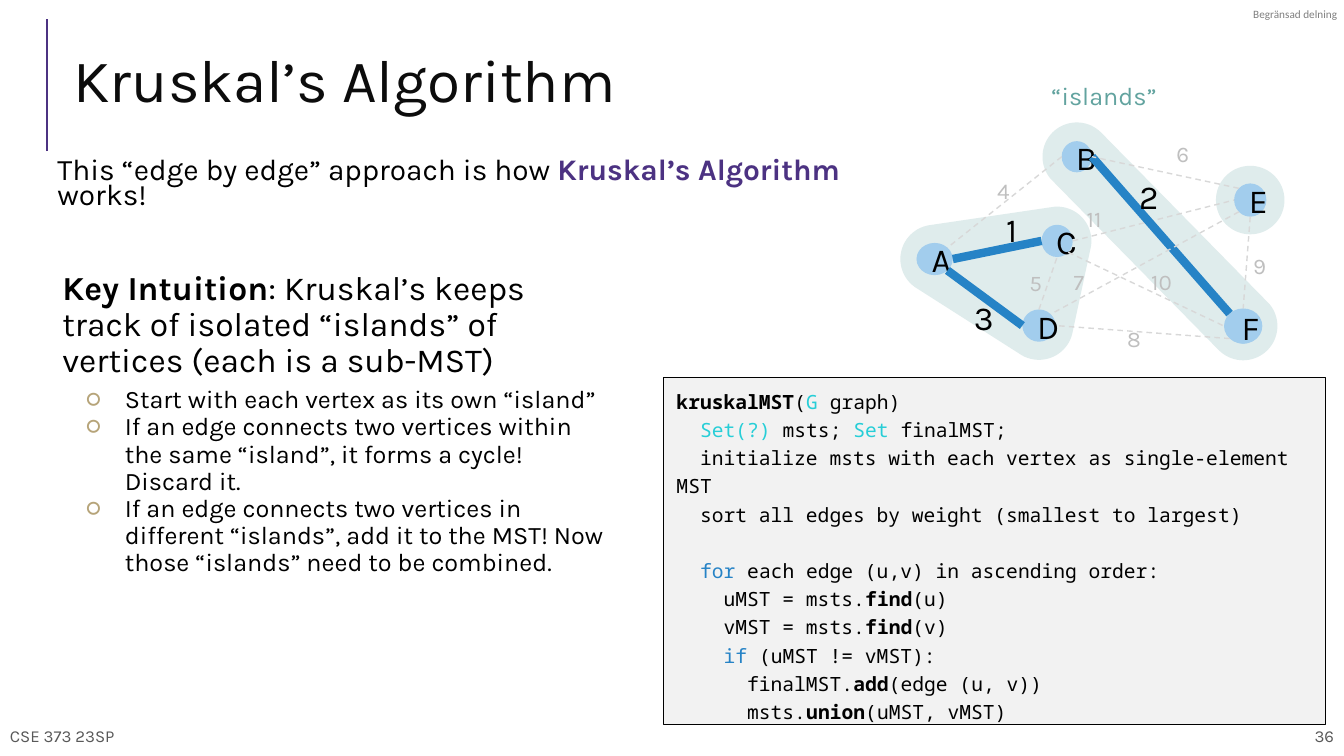
from math import cos, radians, sin

from lxml import etree
from pptx import Presentation
from pptx.dml.color import RGBColor
from pptx.enum.dml import MSO_LINE
from pptx.enum.shapes import MSO_CONNECTOR, MSO_SHAPE
from pptx.enum.text import MSO_ANCHOR, PP_ALIGN
from pptx.oxml.ns import qn
from pptx.util import Inches, Pt

STRAIGHT = MSO_CONNECTOR.STRAIGHT
DASH = MSO_LINE.DASH
OVAL = MSO_SHAPE.OVAL
RECTANGLE = MSO_SHAPE.RECTANGLE
TOP, MIDDLE = MSO_ANCHOR.TOP, MSO_ANCHOR.MIDDLE
LEFT, CENTER, RIGHT = PP_ALIGN.LEFT, PP_ALIGN.CENTER, PP_ALIGN.RIGHT

BLACK = RGBColor(0x00, 0x00, 0x00)
TITLE_BLACK = RGBColor(0x0C, 0x0C, 0x0C)
PURPLE = RGBColor(0x4C, 0x32, 0x82)
FOOTER_GRAY = RGBColor(0x59, 0x59, 0x59)
SHARING_GRAY = RGBColor(0x7F, 0x7F, 0x7F)
WEIGHT_GRAY = RGBColor(0xBF, 0xBF, 0xBF)
EDGE_GRAY = RGBColor(0xD8, 0xD8, 0xD8)
CODE_GRAY = RGBColor(0xF2, 0xF2, 0xF2)
BLUE = RGBColor(0x26, 0x83, 0xC6)
VERTEX_BLUE = RGBColor(0xA2, 0xCD, 0xED)
CYAN = RGBColor(0x27, 0xCE, 0xD7)
ISLAND_GREEN = RGBColor(0xDF, 0xEC, 0xEC)
TEAL = RGBColor(0x62, 0xA3, 0x9F)
BULLET_TAN = RGBColor(0xB6, 0xA4, 0x79)

SANS, MONO, SMALL_PRINT = "Karla", "Noto Sans Mono", "Calibri"

# Left, top, width and height of each vertex, in inches from the graph's corner.
VERTICES = {
    "A": (1.09, 2.41, 0.36, 0.32),
    "B": (2.53, 1.4, 0.3, 0.31),
    "C": (2.33, 2.23, 0.31, 0.32),
    "D": (2.14, 3.07, 0.33, 0.32),
    "E": (4.24, 1.82, 0.32, 0.33),
    "F": (4.14, 3.06, 0.38, 0.35),
}
FRONT_VERTEX = "F"  # its name sits on a smaller oval above the edges
FRONT_BOX = (4.17, 3.08, 0.32, 0.33)
ISLANDS = ["E", "BF", "ACD"]
ISLAND_RADIUS = 0.34
# Clockwise angle of the point where an edge touches its vertex.
COMPASS = {name: 45 * step for step, name in enumerate(["E", "SE", "S", "SW", "W", "NW", "N", "NE"])}
# Vertex and side at both ends, weight, left and top of the weight's label.
EDGES = [
    ("B", "W", "A", "NE", 4, 1.79, 1.71),
    ("A", "SE", "D", "W", 3, 1.56, 2.9),
    ("D", "N", "C", "S", 5, 2.11, 2.62),
    ("C", "W", "A", "E", 1, 1.88, 2.02),
    ("C", "E", "E", "W", 11, 2.68, 1.99),
    ("E", "S", "F", "N", 9, 4.33, 2.45),
    ("F", "SW", "D", "E", 8, 3.08, 3.18),
    ("F", "NW", "B", "E", 2, 3.2, 1.7),
    ("E", "SW", "D", "NE", 7, 2.55, 2.61),
    ("C", "SE", "F", "W", 10, 3.32, 2.61),
    ("E", "NW", "B", "E", 6, 3.57, 1.34),
]
HEAVIEST_TREE_WEIGHT = 3


def plain(text, color=BLACK):
    return text, color, False


def strong(text, color=BLACK):
    return text, color, True


CODE = [
    [strong("kruskalMST"), plain("("), plain("G", CYAN), plain(" graph)")],
    [plain("  Set(?) ", CYAN), plain("msts; "), plain("Set", CYAN), plain(" finalMST;")],
    [plain("  initialize msts with each vertex as single-element MST")],
    [plain("  sort all edges by weight (smallest to largest)")],
    [plain("  for", BLUE), plain(" each edge (u,v) in ascending order:")],
    [plain("    uMST = msts."), strong("find"), plain("(u)")],
    [plain("    vMST = msts."), strong("find"), plain("(v)")],
    [plain("    if", BLUE), plain(" (uMST != vMST):")],
    [plain("      finalMST."), strong("add"), plain("(edge (u, v))")],
    [plain("      msts."), strong("union"), plain("(uMST, vMST)")],
]
LOOP_LINE = 4
APPROACH = [plain("This “edge by edge” approach is how "), strong("Kruskal’s Algorithm ", PURPLE), plain("works!")]
INTUITION = [
    strong("Key Intuition"),
    plain(": Kruskal’s keeps track of isolated “islands” of vertices (each is a sub-MST)"),
]
STEPS = [
    "Start with each vertex as its own “island”",
    "If an edge connects two vertices within the same “island”, it forms a cycle! Discard it.",
    "If an edge connects two vertices in different “islands”, add it to the MST! "
    "Now those “islands” need to be combined.",
]


def prepare_frame(shape, horizontal=0.1, vertical=0.05, anchor=TOP):
    frame = shape.text_frame
    frame.word_wrap = True
    frame.vertical_anchor = anchor
    frame.margin_left = frame.margin_right = Inches(horizontal)
    frame.margin_top = frame.margin_bottom = Inches(vertical)
    return frame


def write(paragraph, runs, size, font=SANS, spacing=1.0, align=LEFT):
    paragraph.alignment = align
    paragraph.line_spacing = spacing
    paragraph.font.name = font
    paragraph.font.size = Pt(size)
    for text, color, bold in runs:
        run = paragraph.add_run()
        run.text = text
        run.font.color.rgb = color
        run.font.bold = bold


def add_text(slide, box, runs, size, horizontal=0.1, vertical=0.05, anchor=TOP, **style):
    shape = slide.shapes.add_textbox(*map(Inches, box))
    frame = prepare_frame(shape, horizontal, vertical, anchor)
    write(frame.paragraphs[0], runs, size, **style)
    return frame


def add_line(slide, start, end, color, width):
    connector = slide.shapes.add_connector(STRAIGHT, *map(Inches, (*start, *end)))
    connector.line.color.rgb = color
    connector.line.width = Pt(width)
    etree.SubElement(connector._element.spPr, qn("a:effectLst"))
    return connector


def paint(shape, color):
    """Give the shape a flat fill without outline or shadow."""
    shape.shadow.inherit = False
    shape.fill.solid()
    shape.fill.fore_color.rgb = color
    shape.line.fill.background()


def add_bullet(paragraph):
    properties = paragraph._p.get_or_add_pPr()
    properties.set("marL", str(Inches(0.62)))
    properties.set("indent", str(Inches(-0.38)))
    color = etree.SubElement(properties, qn("a:buClr"))
    etree.SubElement(color, qn("a:srgbClr"), val=str(BULLET_TAN))
    etree.SubElement(properties, qn("a:buFont"), typeface=SMALL_PRINT)
    etree.SubElement(properties, qn("a:buChar"), char="○")


def add_frame_texts(slide, width, height):
    """Draw the title with its rule, the footer and the sharing label."""
    add_line(slide, (0.47, 1.5), (0.47, 0.19), PURPLE, 1.5)
    add_text(slide, (0.63, 0.29, 12.23, 1.11), [plain("Kruskal’s Algorithm", TITLE_BLACK)], 43,
             anchor=MIDDLE, spacing=0.8)
    for left, text, align in ((0, "CSE 373 23SP", LEFT), (width - 4.68, "36", RIGHT)):
        add_text(slide, (left, height - 0.4, 4.68, 0.4), [plain(text, FOOTER_GRAY)], 12,
                 vertical=0.1, anchor=MIDDLE, align=align)
    add_text(slide, (width - 0.9, 0.07, 0.86, 0.13), [plain("Begränsad delning", SHARING_GRAY)], 8,
             horizontal=0, vertical=0, font=SMALL_PRINT)


def add_explanation(slide, left, top, width):
    add_text(slide, (left, top, 8.39, 1.1), APPROACH, 21.3, horizontal=0.05, spacing=0.7)
    frame = add_text(slide, (left, top + 1.1, width, 2.9), INTUITION, 24, spacing=0.9)
    for index, step in enumerate(STEPS):
        paragraph = frame.add_paragraph()
        paragraph.level = 1
        paragraph.space_before = Pt(0 if index else 5)
        paragraph.line_spacing = 0.9
        add_bullet(paragraph)
        write(paragraph, [plain(step)], 18, spacing=0.9)


def add_code(slide, left, top, width, height):
    panel = slide.shapes.add_shape(RECTANGLE, *map(Inches, (left, top, width, height)))
    paint(panel, CODE_GRAY)
    panel.line.color.rgb = BLACK
    panel.line.width = Pt(0.75)
    frame = prepare_frame(panel, 0.13, 0.07)
    for index, runs in enumerate(CODE):
        paragraph = frame.add_paragraph() if index else frame.paragraphs[0]
        if index == LOOP_LINE:
            paragraph.space_before = Pt(20)
        write(paragraph, runs, 14, font=MONO, spacing=1.2)


def center(name):
    x, y, width, height = VERTICES[name]
    return x + width / 2, y + height / 2


def add_island(slide, left, top, members):
    """Wrap the members in a band: in each direction, go round the outermost one."""
    points = []
    for degrees in range(0, 360, 5):
        across, down = cos(radians(degrees)), sin(radians(degrees))
        x, y = max(map(center, members), key=lambda spot: spot[0] * across + spot[1] * down)
        points.append((Inches(left + x + ISLAND_RADIUS * across), Inches(top + y + ISLAND_RADIUS * down)))
    builder = slide.shapes.build_freeform(*points[0])
    builder.add_line_segments(points[1:], close=True)
    paint(builder.convert_to_shape(), ISLAND_GREEN)


def add_vertex(slide, left, top, box, name):
    x, y, width, height = box
    vertex = slide.shapes.add_shape(OVAL, *map(Inches, (left + x, top + y, width, height)))
    paint(vertex, VERTEX_BLUE)
    if name:
        frame = prepare_frame(vertex, anchor=MIDDLE)
        write(frame.paragraphs[0], [plain(name)], 24, align=CENTER)


def touch_point(left, top, name, side):
    x, y = center(name)
    width, height = VERTICES[name][2:]
    angle = radians(COMPASS[side])
    return left + x + width / 2 * cos(angle), top + y + height / 2 * sin(angle)


def add_edge(slide, left, top, first, first_side, second, second_side, weight, x, y):
    start = touch_point(left, top, first, first_side)
    end = touch_point(left, top, second, second_side)
    label_width = 0.28 if weight < 10 else 0.66
    if weight <= HEAVIEST_TREE_WEIGHT:
        add_line(slide, start, end, BLUE, 6)
        label_height, color, size = 0.51, BLACK, 24
    else:
        add_line(slide, start, end, EDGE_GRAY, 1).line.dash_style = DASH
        label_height, color, size = 0.37, WEIGHT_GRAY, 16
    add_text(slide, (left + x, top + y, label_width, label_height), [plain(str(weight), color)], size)


def add_graph(slide, left, top):
    for members in ISLANDS:
        add_island(slide, left, top, members)
    for name, box in VERTICES.items():
        add_vertex(slide, left, top, box, "" if name == FRONT_VERTEX else name)
    for edge in EDGES:
        add_edge(slide, left, top, *edge)
    add_vertex(slide, left, top, FRONT_BOX, FRONT_VERTEX)
    add_text(slide, (left + 2.33, top + 0.75, 1.32, 0.4), [plain("“islands”", TEAL)], 18)


def main():
    presentation = Presentation()
    presentation.slide_width, presentation.slide_height = Inches(13.33), Inches(7.5)
    slide = presentation.slides.add_slide(presentation.slide_layouts[6])
    add_frame_texts(slide, 13.33, 7.5)
    add_graph(slide, 8, 0)
    add_code(slide, 6.58, 3.75, 6.57, 3.44)
    add_explanation(slide, 0.52, 1.54, 5.64)
    presentation.save("out.pptx")


if __name__ == "__main__":
    main()
